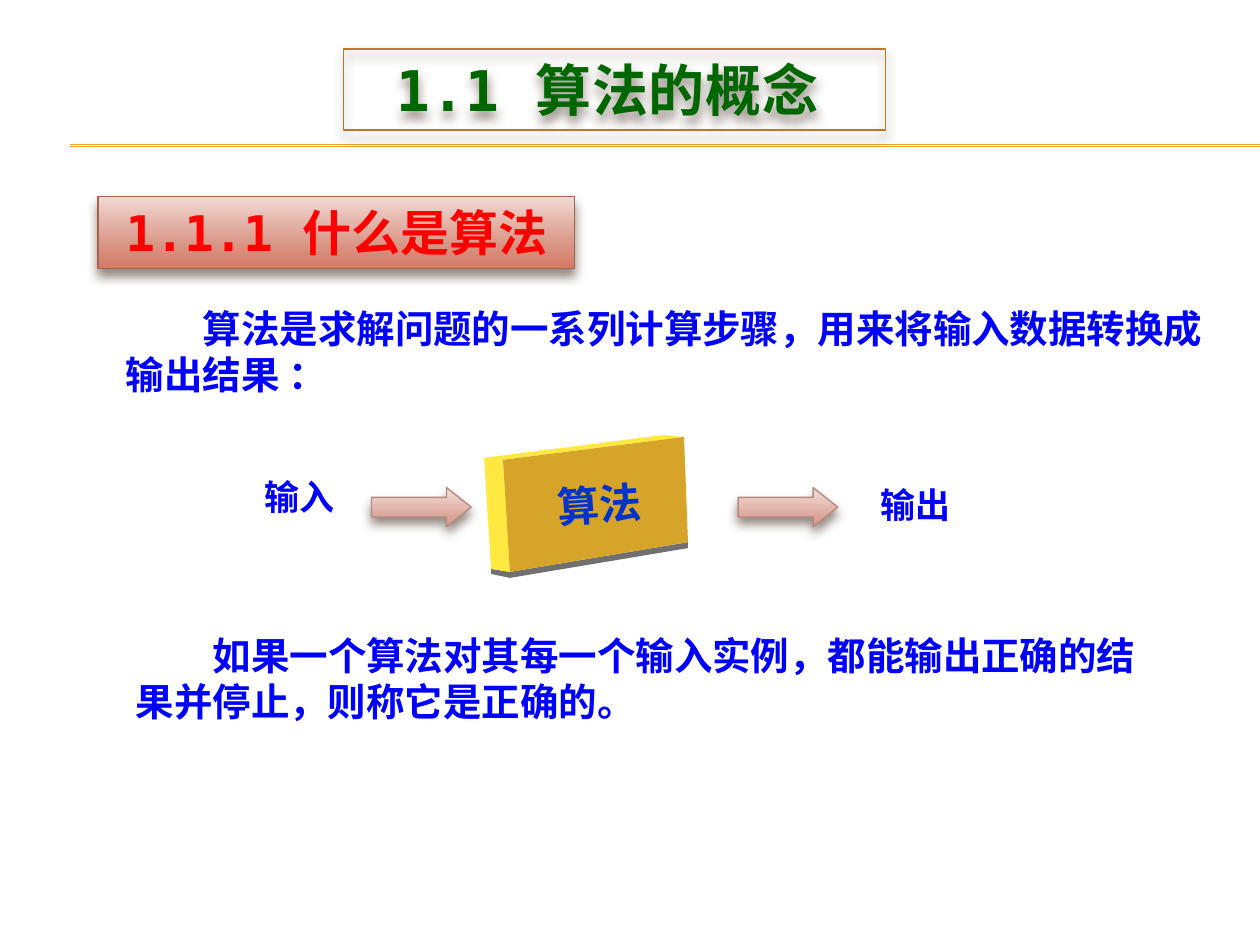
from copy import deepcopy

from lxml.etree import SubElement
from pptx import Presentation
from pptx.dml.color import RGBColor
from pptx.enum.shapes import MSO_CONNECTOR, MSO_SHAPE
from pptx.enum.text import MSO_ANCHOR, PP_ALIGN
from pptx.oxml.ns import qn
from pptx.util import Cm, Pt

SANS, MONO = "Noto Sans CJK SC", "DejaVu Sans Mono"
COLORS = {
    "rule": "F0A22E", "body": "0000FF", "title": "006600", "heading": "FF0000",
    "label": "0033CC", "title_line": "C17529", "heading_line": "A5644E",
    "arrow_line": "B58B80", "shadow": "4E3B30",
    "front": "D6A429", "side": "FFE840", "under": "707070",
}
HEADING_GRADIENT = [(0, "F1D9D4"), (0.72, "D89180"), (1, "D47A62")]
ARROW_GRADIENT = [(0, "F3E0DB"), (0.72, "DCA79B"), (1, "D89787")]

# All positions are left, top, width, height in cm
RULES = [2.92, 2.95]
TITLE = ("1.1 算法的概念 ", (6.93, 0.99, 10.92, 1.63))
HEADING = ("1.1.1 什么是算法", (1.98, 3.96, 9.6, 1.45))
BODY = [
    ("算法是求解问题的一系列计算步骤，用来将输入数据转换成输出结果 ：", (2.29, 6.02, 22.4, 2.13)),
    ("如果一个算法对其每一个输入实例，都能输出正确的结果并停止，则称它是正确的。",
     (2.49, 12.62, 21.01, 2.13)),
]
LABELS = [("输入", (5.08, 9.47, 2.01, 1.09)), ("输出", (17.5, 9.63, 2.01, 1.09))]
ARROWS = [(7.49, 9.83, 2.01, 0.79), (14.88, 9.83, 2.01, 0.79)]
BLOCK_LABEL = ("算法", (10.58, 9.51, 3, 1.3))

# Corners of the solid block, shared by its faces
BACK_TOP, BACK_BOTTOM, FAR_TOP = (9.76, 9.23), (9.9, 11.47), (13.37, 8.77)
LEFT_TOP, LEFT_BOTTOM = (10.14, 9.27), (10.28, 11.53)
RIGHT_TOP, RIGHT_BOTTOM = (13.79, 8.81), (13.87, 10.93)
FACES = [
    ("under", [BACK_BOTTOM, LEFT_BOTTOM, RIGHT_BOTTOM, (13.87, 11.05), (10.28, 11.65), (9.9, 11.57)]),
    ("side", [BACK_TOP, LEFT_TOP, LEFT_BOTTOM, BACK_BOTTOM]),
    ("side", [BACK_TOP, FAR_TOP, RIGHT_TOP, LEFT_TOP]),
    ("front", [LEFT_TOP, RIGHT_TOP, RIGHT_BOTTOM, LEFT_BOTTOM]),
]


def rgb(name):
    return RGBColor.from_string(COLORS[name])


def write(shape, text, size, color, font=SANS, align=PP_ALIGN.LEFT, anchor=MSO_ANCHOR.TOP):
    frame = shape.text_frame
    frame.text = text
    frame.word_wrap = True
    frame.vertical_anchor = anchor
    para = frame.paragraphs[0]
    para.alignment = align
    span = para.runs[0]
    span.font.size = Pt(size)
    span.font.bold = True
    span.font.name = font
    span.font.color.rgb = rgb(color)
    SubElement(span.font._element, qn("a:ea"), typeface=SANS)
    return para


def add_text(page, text, place, size, color, **style):
    box = page.shapes.add_textbox(*map(Cm, place))
    return box, write(box, text, size, color, **style)


def add_raised(page, kind, place, line, gradient=None):
    """Add an outlined shape with a soft shadow and a top-to-bottom gradient."""
    shape = page.shapes.add_shape(kind, *map(Cm, place))
    if gradient:
        shape.fill.gradient()
        shape.fill.gradient_angle = 270
        stops = shape._element.spPr.find(".//" + qn("a:gsLst"))
        stops.append(deepcopy(stops[0]))
        for stop, (position, color) in zip(shape.fill.gradient_stops, gradient):
            stop.position = position
            stop.color.rgb = RGBColor.from_string(color)
    else:
        shape.fill.background()
    shape.line.color.rgb = rgb(line)
    shape.line.width = Pt(0.79)
    shape.shadow.inherit = False
    effects = shape._element.spPr.find(qn("a:effectLst"))
    shadow = SubElement(effects, qn("a:outerShdw"), blurRad=str(Pt(6)), dist=str(Pt(4)),
                        dir="5400000", rotWithShape="0")
    color = SubElement(shadow, qn("a:srgbClr"), val=COLORS["shadow"])
    SubElement(color, qn("a:alpha"), val="60000")
    return shape


def add_face(page, color, corners):
    points = [(Cm(x), Cm(y)) for x, y in corners]
    builder = page.shapes.build_freeform(*points[0])
    builder.add_line_segments(points[1:], close=True)
    face = builder.convert_to_shape()
    face.fill.solid()
    face.fill.fore_color.rgb = rgb(color)
    face.line.fill.background()
    face.shadow.inherit = False


def main():
    deck = Presentation()
    deck.slide_width, deck.slide_height = Cm(25.4), Cm(19.05)
    page = deck.slides.add_slide(deck.slide_layouts[6])

    for y in RULES:
        rule = page.shapes.add_connector(MSO_CONNECTOR.STRAIGHT, Cm(1.42), Cm(y), Cm(25.4), Cm(y))
        rule.line.color.rgb = rgb("rule")
        rule.line.width = Pt(0.75)
        SubElement(rule._element.spPr, qn("a:effectLst"))

    for text, place in BODY:
        _, para = add_text(page, text, place, 22, "body")
        para._p.get_or_add_pPr().set("indent", str(Pt(44)))

    for color, corners in FACES:
        add_face(page, color, corners)
    text, place = BLOCK_LABEL
    box, _ = add_text(page, text, place, 24, "label", align=PP_ALIGN.CENTER, anchor=MSO_ANCHOR.MIDDLE)
    box.rotation = -4

    for place in ARROWS:
        arrow = add_raised(page, MSO_SHAPE.RIGHT_ARROW, place, "arrow_line", ARROW_GRADIENT)
        arrow.adjustments[1] = 0.63
    for text, place in LABELS:
        add_text(page, text, place, 20, "body")

    text, place = HEADING
    heading = add_raised(page, MSO_SHAPE.RECTANGLE, place, "heading_line", HEADING_GRADIENT)
    write(heading, text, 28, "heading", MONO, PP_ALIGN.CENTER)

    text, place = TITLE
    title = add_raised(page, MSO_SHAPE.RECTANGLE, place, "title_line")
    para = write(title, text, 32, "title", MONO, PP_ALIGN.CENTER)
    para.runs[0].font._element.set("spc", "50")

    deck.save("out.pptx")


if __name__ == "__main__":
    main()
